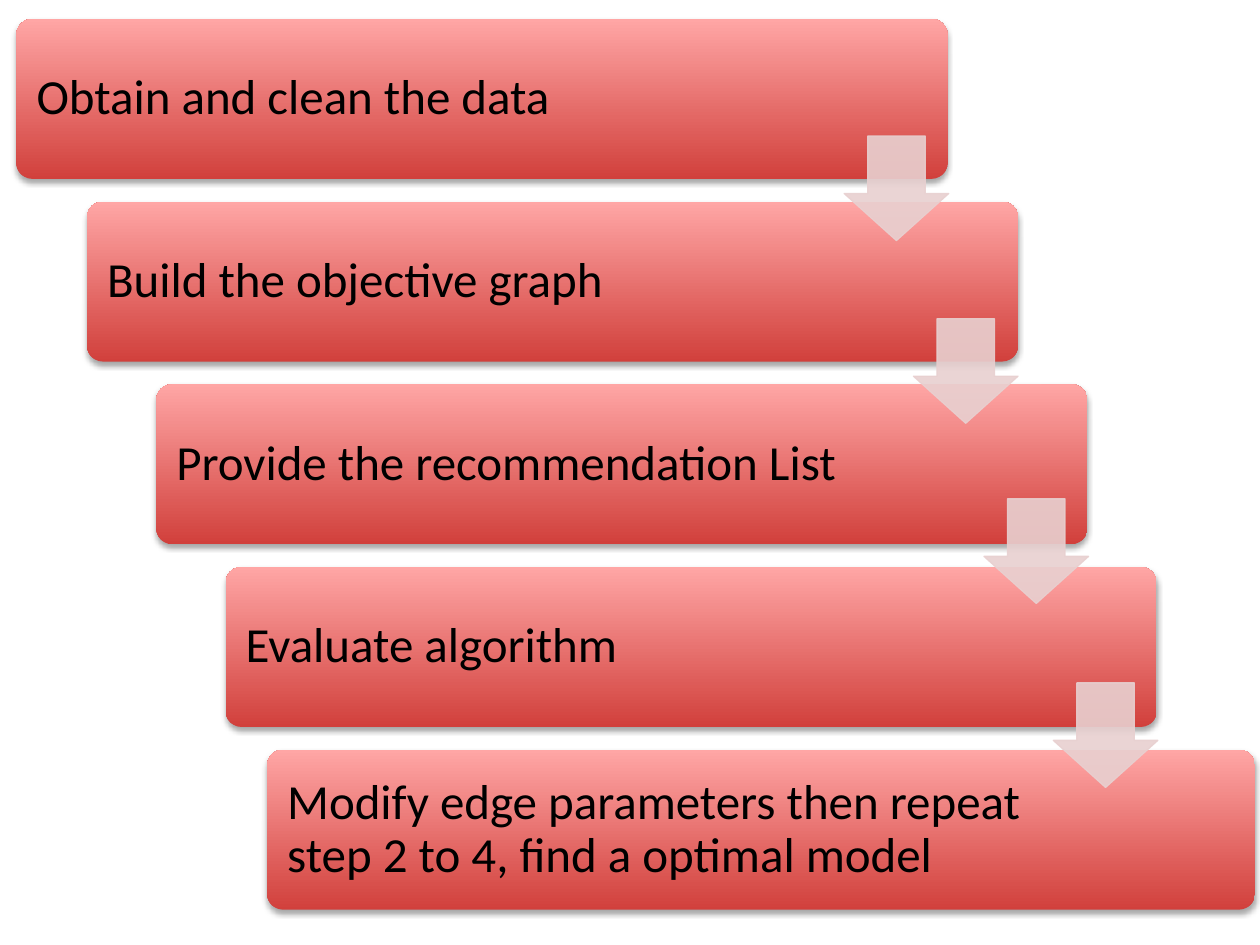
"""Build a slide with a descending staircase of five process steps."""
from dataclasses import dataclass

from lxml.etree import SubElement
from pptx import Presentation
from pptx.dml.color import RGBColor
from pptx.enum.shapes import MSO_SHAPE
from pptx.enum.text import MSO_ANCHOR
from pptx.oxml.ns import qn
from pptx.util import Inches, Pt

COLORS = {"dark": "D1403C", "light": "FFA6A5", "arrow": "E8D0D0", "text": "000000"}
FONT = "Calibri"
TOP, PITCH, HEIGHT = 0.15, 1.45, 1.27
INSET, MARGIN = 0.04, 0.12
ARROW = 0.83


@dataclass
class Step:
    text: str
    left: float
    width: float = 7.39
    text_width: float = 5.94


@dataclass
class Arrow:
    left: float
    top: float


STEPS = [
    Step("Obtain and clean the data", 0.13, text_width=5.87),
    Step("Build the objective graph", 0.69),
    Step("Provide the recommendation List", 1.24),
    Step("Evaluate algorithm", 1.79),
    Step("Modify edge parameters then repeat step 2 to 4, find a optimal model",
         2.12, 7.84, 6.3),
]
ARROWS = [Arrow(6.7, 1.08), Arrow(7.25, 2.53), Arrow(7.81, 3.96), Arrow(8.36, 5.42)]


def rgb(name: str) -> RGBColor:
    return RGBColor.from_string(COLORS[name])


def set_alpha(color, percent: int) -> None:
    SubElement(color, qn("a:alpha"), val=str(percent * 1000))


def add_shadow(s) -> None:
    s.shadow.inherit = False
    effects = s._element.spPr.find(qn("a:effectLst"))
    shadow = SubElement(effects, qn("a:outerShdw"), blurRad=str(Pt(3.1)),
                        dist=str(Pt(1.8)), dir="5400000", rotWithShape="0")
    set_alpha(SubElement(shadow, qn("a:srgbClr"), val="000000"), 35)


def add_step(shapes, step: Step, top: float) -> None:
    s = shapes.add_shape(MSO_SHAPE.ROUNDED_RECTANGLE, Inches(step.left), Inches(top),
                         Inches(step.width), Inches(HEIGHT))
    s.adjustments[0] = 0.1
    s.fill.gradient()
    s.fill.gradient_angle = 90
    for stop, name in zip(s.fill.gradient_stops, ("dark", "light")):
        stop.color.rgb = rgb(name)
    s.line.fill.background()
    add_shadow(s)

    box = shapes.add_textbox(Inches(step.left + INSET), Inches(top + INSET),
                             Inches(step.text_width), Inches(HEIGHT - 2 * INSET))
    tf = box.text_frame
    tf.word_wrap = True
    tf.vertical_anchor = MSO_ANCHOR.MIDDLE
    tf.margin_left = tf.margin_right = Inches(MARGIN)
    tf.margin_top = tf.margin_bottom = Inches(MARGIN)
    p = tf.paragraphs[0]
    p.text = step.text
    p.line_spacing = 0.9
    p.font.name = FONT
    p.font.size = Pt(28)
    p.font.color.rgb = rgb("text")


def add_arrow(shapes, arrow: Arrow) -> None:
    s = shapes.add_shape(MSO_SHAPE.DOWN_ARROW, Inches(arrow.left), Inches(arrow.top),
                         Inches(ARROW), Inches(ARROW))
    s.adjustments[0] = 0.55
    s.adjustments[1] = 0.45
    s.shadow.inherit = False
    s.line.width = Pt(0.75)
    for fill in (s.fill, s.line.fill):
        fill.solid()
        fill.fore_color.rgb = rgb("arrow")
    for color in s._element.spPr.iter(qn("a:srgbClr")):
        set_alpha(color, 90)


def main() -> None:
    prs = Presentation()
    prs.slide_width, prs.slide_height = Inches(10), Inches(7.5)
    shapes = prs.slides.add_slide(prs.slide_layouts[6]).shapes
    for i, step in enumerate(STEPS):
        add_step(shapes, step, TOP + i * PITCH)
    for arrow in ARROWS:
        add_arrow(shapes, arrow)
    prs.save("out.pptx")


main()
